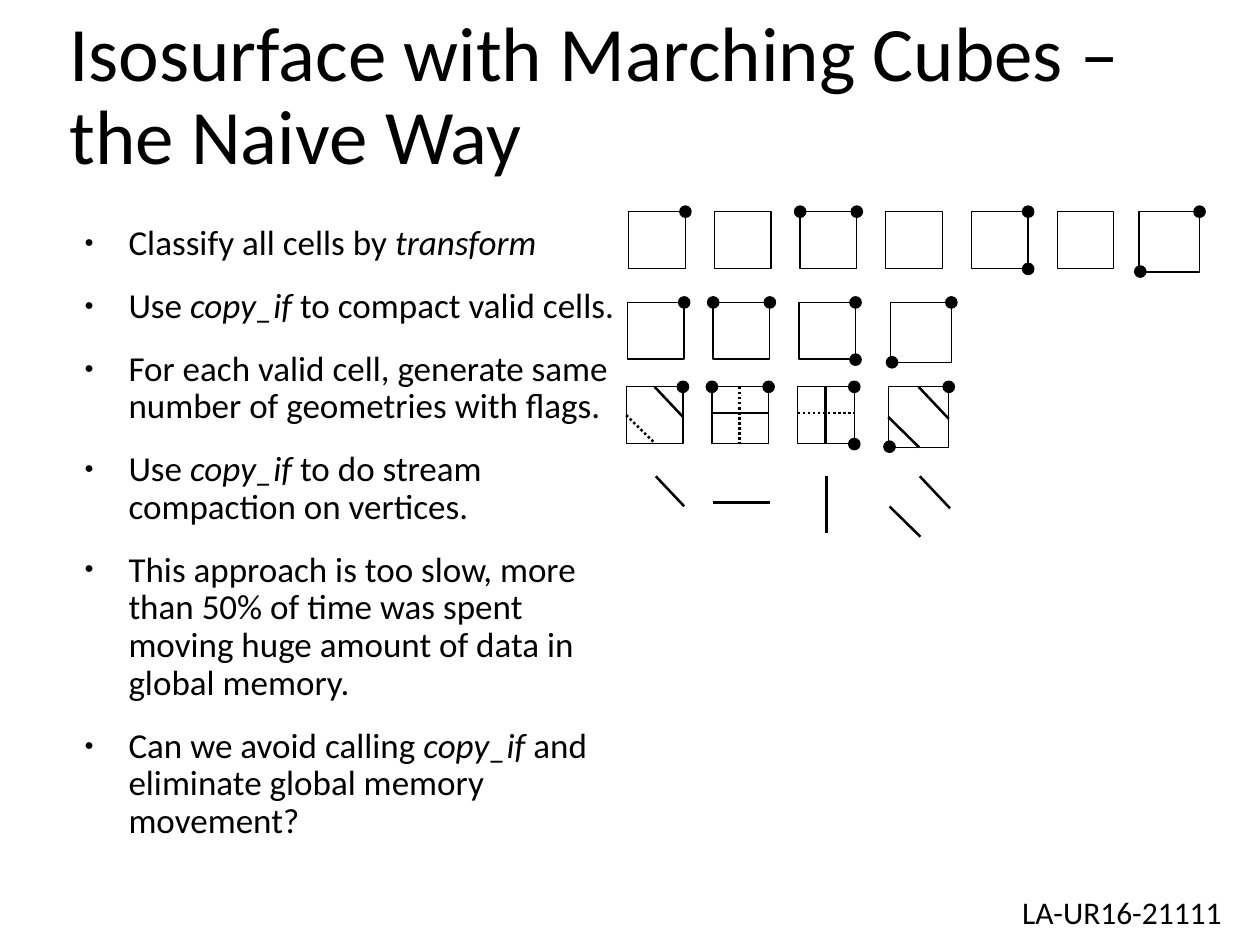
from lxml.etree import SubElement
from pptx import Presentation
from pptx.dml.color import RGBColor
from pptx.enum.dml import MSO_LINE
from pptx.enum.shapes import MSO_CONNECTOR, MSO_SHAPE
from pptx.enum.text import MSO_ANCHOR, MSO_AUTO_SIZE, PP_ALIGN
from pptx.oxml.ns import qn
from pptx.util import Inches, Pt

COLORS = {"ink": "000000", "paper": "FFFFFF"}
FONT = "Calibri"
TITLE = "Isosurface with Marching Cubes – the Naive Way"
FOOTER = "LA-UR16-21111"

# Asterisks enclose italic words
BULLETS = [
    "Classify all cells by *transform*",
    "Use *copy_if* to compact valid cells.",
    "For each valid cell, generate same number of geometries with flags.",
    "Use *copy_if* to do stream compaction on vertices.",
    "This approach is too slow, more than 50% of time was spent moving huge "
    "amount of data in global memory.",
    "Can we avoid calling *copy_if* and eliminate global memory movement?",
]

# Corners and segments are given in shares of the cell
TOP_LEFT, TOP_RIGHT, BOTTOM_LEFT, BOTTOM_RIGHT = (0, 0), (1, 0), (0.02, 0.99), (1, 1.01)
UPPER, LOWER = (0.5, 0, 1, 0.53), (0, 0.5, 0.51, 1)
ACROSS, DOWN = (0, 0.46, 1, 0.46), (0.49, 0, 0.49, 1)

CELLS = {
    "empty": {"size": 0.45, "dots": [], "solid": [], "dotted": []},
    "corner": {"size": 0.45, "dots": [TOP_RIGHT], "solid": [UPPER], "dotted": [LOWER]},
    "top": {"size": 0.45, "dots": [TOP_LEFT, TOP_RIGHT], "solid": [ACROSS], "dotted": [DOWN]},
    "right": {"size": 0.45, "dots": [TOP_RIGHT, BOTTOM_RIGHT], "solid": [DOWN], "dotted": [ACROSS]},
    "diagonal": {"size": 0.48, "dots": [TOP_RIGHT, BOTTOM_LEFT], "solid": [UPPER, LOWER], "dotted": []},
}
VALID = ["corner", "top", "right", "diagonal"]

# left, top, shift of the diagonal cell, cells, parts to draw
STAGES = [
    (4.99, 1.68, -0.03, ["corner", "empty", "top", "empty", "right", "empty", "diagonal"],
     ["frame", "dots"]),
    (4.98, 2.40, 0.05, VALID, ["frame", "dots"]),
    (4.97, 3.07, 0.04, VALID, ["frame", "dotted", "solid", "dots"]),
    (4.98, 3.78, 0.04, VALID, ["solid"]),
]
PITCH = 0.68
DOT = 0.09


def color(name):
    return RGBColor.from_string(COLORS[name])


def style(font, size):
    font.name, font.size = FONT, Pt(size)
    font.color.rgb = color("ink")


def place(box, left, top, width, height):
    box.left, box.top = Inches(left), Inches(top)
    box.width, box.height = Inches(width), Inches(height)


def add_outline(page, kind, left, top, size, filled):
    shape = page.shapes.add_shape(kind, Inches(left), Inches(top), Inches(size), Inches(size))
    shape.shadow.inherit = False
    if filled:
        shape.fill.solid()
        shape.fill.fore_color.rgb = color("ink")
    else:
        shape.fill.background()
    shape.line.color.rgb = color("ink")
    shape.line.width = Pt(0)


def add_segment(page, left, top, size, segment, dotted):
    x1, y1, x2, y2 = (Inches(start + share * size)
                      for start, share in zip((left, top, left, top), segment))
    line = page.shapes.add_connector(MSO_CONNECTOR.STRAIGHT, x1, y1, x2, y2)
    SubElement(line._element.spPr, qn("a:effectLst"))
    line.line.color.rgb = color("ink")
    line.line.width = Pt(1.45)
    if dotted:
        line.line.dash_style = MSO_LINE.ROUND_DOT


def add_cell(page, left, top, cell, parts):
    size = cell["size"]
    for part in parts:
        if part == "frame":
            add_outline(page, MSO_SHAPE.RECTANGLE, left, top, size, False)
        elif part == "dots":
            for across, down in cell["dots"]:
                add_outline(page, MSO_SHAPE.OVAL, left + across * size - DOT / 2,
                            top + down * size - DOT / 2, DOT, True)
        else:
            for segment in cell[part]:
                add_segment(page, left, top, size, segment, part == "dotted")


def add_bullet(para, text):
    props = para._p.get_or_add_pPr()
    props.set("marL", str(Inches(0.47)))
    props.set("indent", str(Inches(-0.35)))
    SubElement(props, qn("a:buSzPct"), val="45000")
    SubElement(props, qn("a:buChar"), char="●")
    para.line_spacing = 0.9
    para.space_before, para.space_after = Pt(0), Pt(14.2)
    for index, words in enumerate(text.split("*")):
        if words:
            span = para.add_run()
            span.text = words
            style(span.font, 20)
            span.font.italic = index % 2 == 1


def main():
    deck = Presentation()
    deck.slide_width, deck.slide_height = Inches(10), Inches(7.5)
    page = deck.slides.add_slide(deck.slide_layouts[1])
    page.background.fill.solid()
    page.background.fill.fore_color.rgb = color("paper")

    # Title
    title = page.shapes.title
    place(title, 0.45, 0.06, 9.07, 1.43)
    title.text_frame.text = TITLE
    title.text_frame.auto_size = MSO_AUTO_SIZE.NONE
    title.text_frame.vertical_anchor = MSO_ANCHOR.MIDDLE
    heading = title.text_frame.paragraphs[0]
    heading.alignment = PP_ALIGN.LEFT
    heading.line_spacing = 0.9
    style(heading.runs[0].font, 44)

    # Bullet list
    body = page.placeholders[1]
    place(body, 0.45, 1.74, 4.55, 5.01)
    frame = body.text_frame
    frame.auto_size = MSO_AUTO_SIZE.NONE
    for index, text in enumerate(BULLETS):
        add_bullet(frame.add_paragraph() if index else frame.paragraphs[0], text)

    # Stages of the cells, one row each
    for left, top, shift, names, parts in STAGES:
        for column, name in enumerate(names):
            nudge = shift if name == "diagonal" else 0
            add_cell(page, left + column * PITCH + nudge, top, CELLS[name], parts)

    # Report number
    footer = page.shapes.add_textbox(Inches(7.88), Inches(7.04), Inches(2.05), Inches(0.4))
    footer.text_frame.word_wrap = True
    footer.text_frame.text = FOOTER
    para = footer.text_frame.paragraphs[0]
    para.alignment = PP_ALIGN.CENTER
    style(para.runs[0].font, 18)

    deck.save("out.pptx")


if __name__ == "__main__":
    main()
